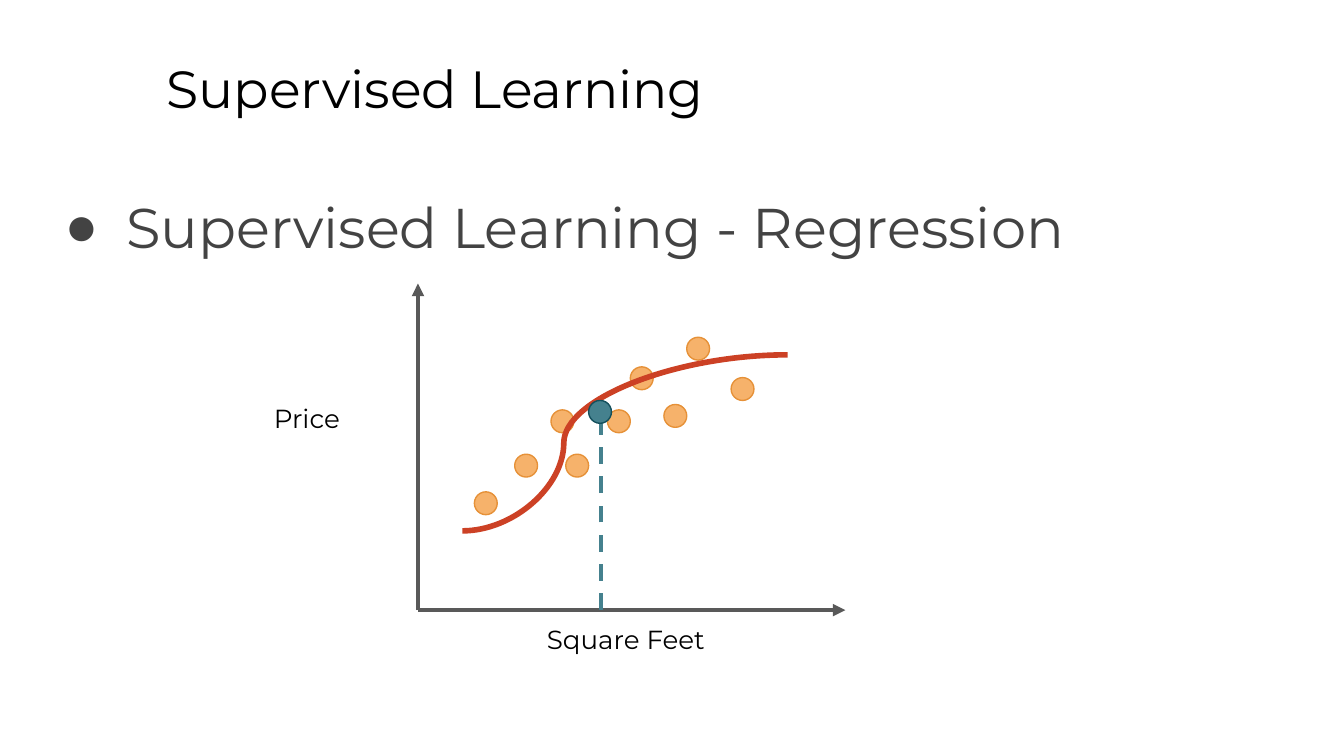
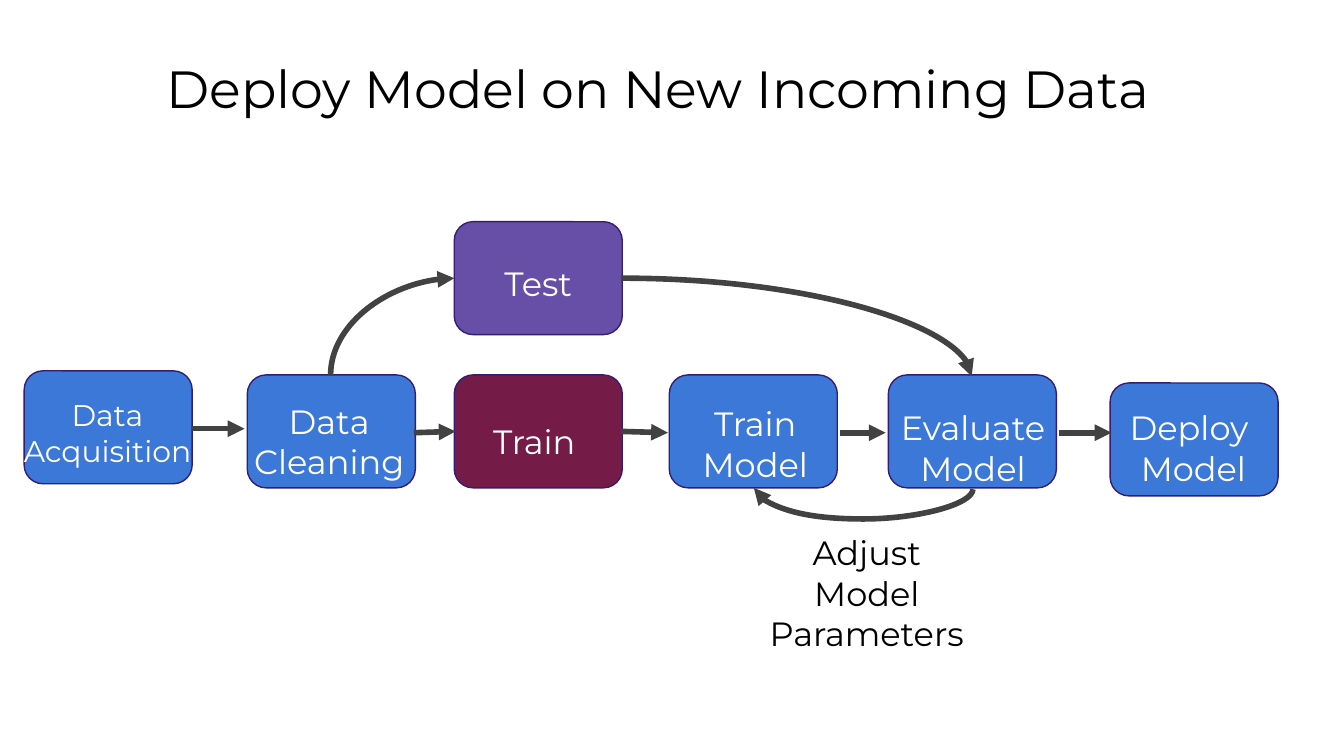
"""Builds two slides on supervised learning: a regression plot and a model workflow."""
from lxml import etree
from pptx import Presentation
from pptx.dml.color import RGBColor
from pptx.enum.dml import MSO_LINE
from pptx.enum.shapes import MSO_CONNECTOR, MSO_SHAPE
from pptx.enum.text import MSO_ANCHOR, MSO_AUTO_SIZE, PP_ALIGN
from pptx.oxml.ns import qn
from pptx.util import Inches, Pt

STRAIGHT, CURVE = MSO_CONNECTOR.STRAIGHT, MSO_CONNECTOR.CURVE
OVAL, ROUNDED = MSO_SHAPE.OVAL, MSO_SHAPE.ROUNDED_RECTANGLE
DASH = MSO_LINE.DASH
LEFT, CENTER = PP_ALIGN.LEFT, PP_ALIGN.CENTER
TOP, NO_FIT = MSO_ANCHOR.TOP, MSO_AUTO_SIZE.NONE

FONT = "Montserrat"
BLACK = RGBColor(0x00, 0x00, 0x00)
WHITE = RGBColor(0xFF, 0xFF, 0xFF)
BODY_GREY = RGBColor(0x43, 0x43, 0x43)
AXIS_GREY = RGBColor(0x59, 0x59, 0x59)
ARROW_GREY = RGBColor(0x42, 0x42, 0x42)
ORANGE = RGBColor(0xF6, 0xB2, 0x6B)
DARK_ORANGE = RGBColor(0xE6, 0x91, 0x38)
RED = RGBColor(0xCC, 0x41, 0x25)
TEAL = RGBColor(0x45, 0x81, 0x8E)
DARK_TEAL = RGBColor(0x13, 0x4F, 0x5C)
BLUE = RGBColor(0x3C, 0x78, 0xD8)
PURPLE = RGBColor(0x67, 0x4E, 0xA7)
MAROON = RGBColor(0x74, 0x1B, 0x47)
INDIGO = RGBColor(0x35, 0x1C, 0x75)

SLIDE_W = Inches(10)
SLIDE_H = SLIDE_W * 9 // 16
TITLE_BOX = (1.14, 0.32, 8.52, 0.63)
BODY_BOX = (0.34, 1.26, 9.32, 0.7)

ORIGIN = (3.11, 4.54)
AXIS_ENDS = [(3.11, 2.11), (6.29, 4.54)]
AXIS_LABELS = [
    ("Price", (1.94, 2.89, 1.31, 0.49)),
    ("Square Feet", (3.97, 4.54, 1.71, 0.49)),
]
DOT = 0.17
HOUSES = [
    (3.83, 3.38), (4.21, 3.38), (3.53, 3.66), (4.1, 3.05), (4.52, 3.05),
    (4.94, 3.01), (5.44, 2.81), (5.11, 2.51), (4.69, 2.73),
]
PREDICTION = (4.38, 2.98)
DROP_LINE = ((4.47, 4.54), (4.47, 3.05))
FIT_CURVE = dict(box=(3.44, 2.64, 2.42, 1.31), rot=180, flip=True, adj=0.312)

STEP_W, STEP_H, LABEL_H = 1.25, 0.84, 0.57
STEPS = [
    (["Data", "Acquisition "], 16, BLUE, (0.18, 2.76), (0.07, 2.85, 1.46)),
    (["Data", "Cleaning"], 18, BLUE, (1.84, 2.79), (1.72, 2.88, 1.46)),
    (["Test"], 18, PURPLE, (3.38, 1.65), (3.53, 1.86, 0.95)),
    (["Train"], 18, MAROON, (3.38, 2.79), (3.5, 3.03, 0.95)),
    (["Train", "Model"], 18, BLUE, (4.98, 2.79), (4.89, 2.9, 1.46)),
    (["Evaluate", "Model"], 18, BLUE, (6.61, 2.79), (6.51, 2.93, 1.46)),
    (["Deploy ", "Model"], 18, BLUE, (8.26, 2.85), (8.15, 2.93, 1.46)),
]
STEP_ARROWS = [
    ((1.43, 3.19), (1.82, 3.19)),
    ((3.08, 3.22), (3.39, 3.21)),
    ((4.62, 3.21), (4.97, 3.22)),
    ((6.25, 3.22), (6.59, 3.22)),
    ((7.88, 3.22), (8.27, 3.22)),
]
CURVED_ARROWS = [
    dict(box=(2.56, 1.97, 0.72, 0.92), rot=270),
    dict(box=(4.62, 2.07, 2.61, 0.73)),
    dict(box=(6.42, 2.82, 0.01, 1.63), rot=90, flip=True, adj=-22.5),
]
FEEDBACK = ("Adjust Model Parameters", (5.58, 3.86, 1.74, LABEL_H))


def place(sp, box):
    sp.left, sp.top, sp.width, sp.height = map(Inches, box)


def write(sp, *lines, size=18, color=BLACK, align=LEFT, spacing=None):
    tf = sp.text_frame
    tf.word_wrap = True
    tf.auto_size = NO_FIT
    tf.vertical_anchor = TOP
    tf.margin_left = tf.margin_right = tf.margin_top = tf.margin_bottom = Inches(0.1)
    for i, line in enumerate(lines):
        p = tf.add_paragraph() if i else tf.paragraphs[0]
        p.alignment = align
        p.space_before = Pt(0)
        if spacing:
            p.line_spacing = spacing
        r = p.add_run()
        r.text = line
        r.font.name, r.font.size, r.font.color.rgb = FONT, Pt(size), color
    return tf


def add_text(s, lines, box, **fmt):
    return write(s.shapes.add_textbox(*map(Inches, box)), *lines, **fmt)


def add_bullet(p, char, color):
    pPr = p._p.get_or_add_pPr()
    pPr.set("marL", str(Inches(0.5)))
    pPr.set("indent", str(Inches(-0.46)))
    clr = etree.SubElement(pPr, qn("a:buClr"))
    etree.SubElement(clr, qn("a:srgbClr"), val=str(color))
    etree.SubElement(pPr, qn("a:buChar"), char=char)


def add_shape(s, kind, box, fill, outline):
    sp = s.shapes.add_shape(kind, *map(Inches, box))
    sp.shadow.inherit = False
    sp.fill.solid()
    sp.fill.fore_color.rgb = fill
    sp.line.color.rgb = outline
    sp.line.width = Pt(0.75)
    return sp


def add_line(s, start, end, color, width, kind=STRAIGHT, arrow=True, dash=None):
    cx = s.shapes.add_connector(kind, *map(Inches, (*start, *end)))
    cx.line.color.rgb = color
    cx.line.width = Pt(width)
    if dash:
        cx.line.dash_style = dash
    spPr = cx.element.spPr
    if arrow:
        etree.SubElement(spPr.find(qn("a:ln")), qn("a:tailEnd"), type="triangle")
    etree.SubElement(spPr, qn("a:effectLst"))
    return cx


def add_curve(s, color, box, rot=0, flip=False, adj=None, arrow=True):
    left, top, width, height = box
    cx = add_line(s, (left, top), (left + width, top + height), color, 3,
                  kind=CURVE, arrow=arrow)
    spPr = cx.element.spPr
    xfrm = spPr.find(qn("a:xfrm"))
    xfrm.set("rot", str(rot * 60000))
    if flip:
        xfrm.set("flipH", "1")
    geom = spPr.find(qn("a:prstGeom"))
    if adj is None:
        geom.set("prst", "curvedConnector2")
    else:
        guides = geom.find(qn("a:avLst"))
        etree.SubElement(guides, qn("a:gd"), name="adj1", fmla=f"val {round(adj * 100000)}")


def add_slide(prs, layout, title):
    s = prs.slides.add_slide(prs.slide_layouts[layout])
    place(s.shapes.title, TITLE_BOX)
    write(s.shapes.title, title, size=28)
    return s


def build_regression(prs):
    s = add_slide(prs, 1, "Supervised Learning")
    body = s.placeholders[1]
    place(body, BODY_BOX)
    tf = write(body, "Supervised Learning - Regression", size=30, color=BODY_GREY, spacing=1.15)
    add_bullet(tf.paragraphs[0], "●", BODY_GREY)
    for end in AXIS_ENDS:
        add_line(s, ORIGIN, end, AXIS_GREY, 2.25)
    for label, box in AXIS_LABELS:
        add_text(s, [label], box, size=14)
    for house in HOUSES:
        add_shape(s, OVAL, (*house, DOT, DOT), ORANGE, DARK_ORANGE)
    add_curve(s, RED, arrow=False, **FIT_CURVE)
    add_line(s, *DROP_LINE, TEAL, 2.25, arrow=False, dash=DASH)
    add_shape(s, OVAL, (*PREDICTION, DOT, DOT), TEAL, DARK_TEAL)


def build_workflow(prs):
    s = add_slide(prs, 5, "Deploy Model on New Incoming Data")
    for lines, size, fill, corner, label in STEPS:
        add_shape(s, ROUNDED, (*corner, STEP_W, STEP_H), fill, INDIGO)
        add_text(s, lines, (*label, LABEL_H), size=size, color=WHITE, align=CENTER)
    for start, end in STEP_ARROWS:
        add_line(s, start, end, ARROW_GREY, 3)
    for curve in CURVED_ARROWS:
        add_curve(s, ARROW_GREY, **curve)
    text, box = FEEDBACK
    add_text(s, [text], box, align=CENTER)


def main():
    prs = Presentation()
    prs.slide_width, prs.slide_height = SLIDE_W, SLIDE_H
    build_regression(prs)
    build_workflow(prs)
    prs.save("out.pptx")


if __name__ == "__main__":
    main()
